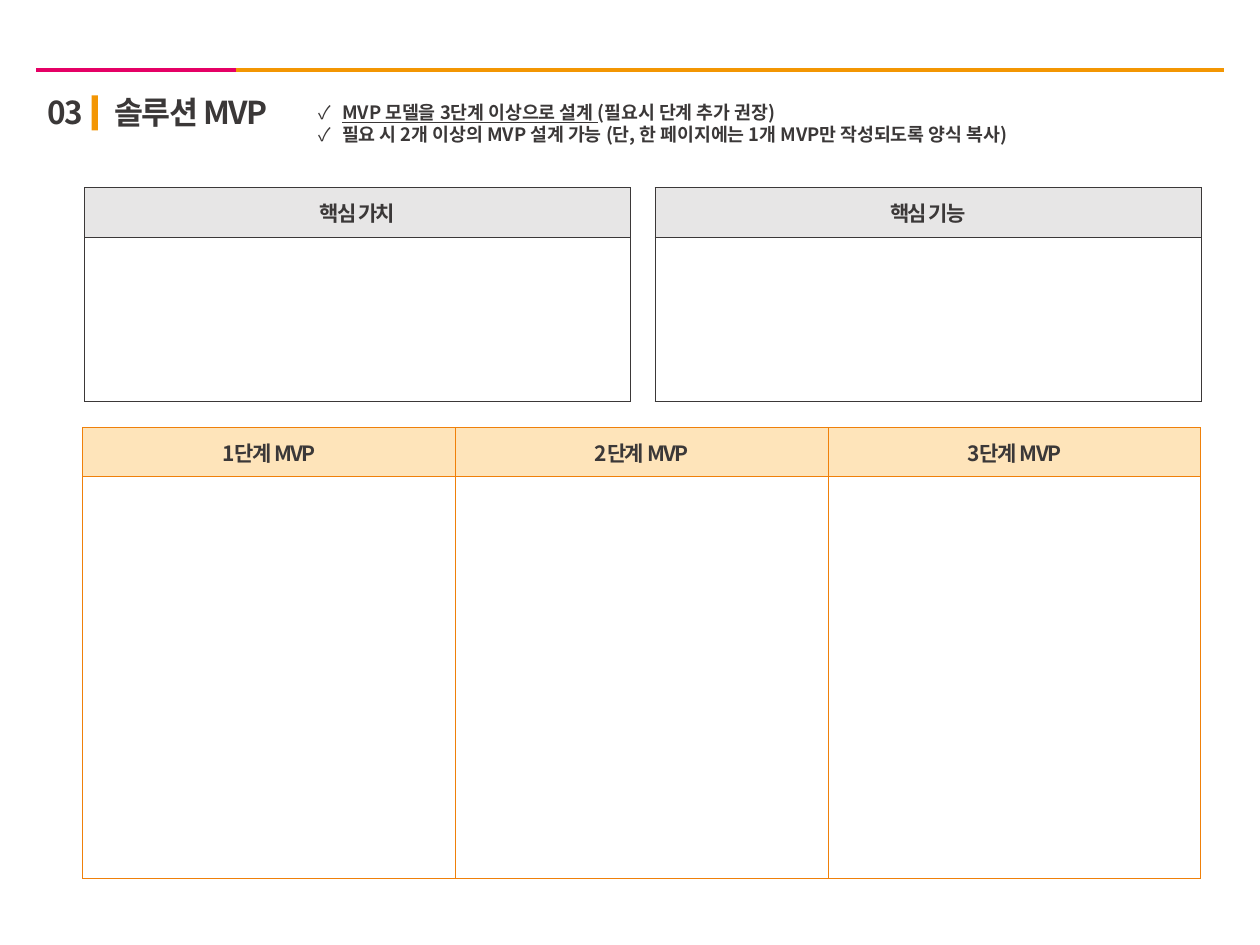
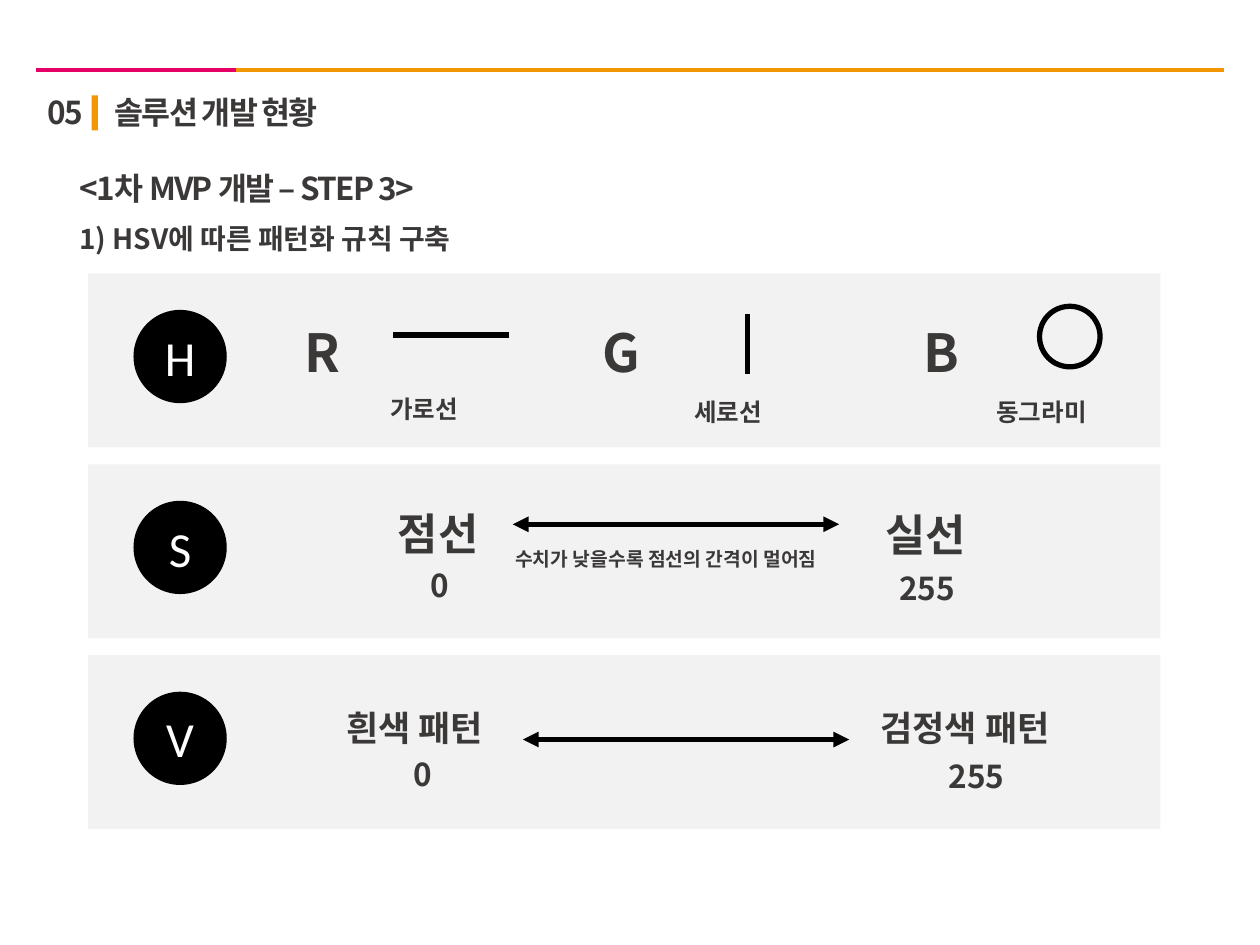
from lxml import etree
from pptx import Presentation
from pptx.dml.color import RGBColor
from pptx.enum import shapes, text
from pptx.oxml import ns
from pptx.util import Pt

# Shared style
FONT, BADGE_FONT = "Noto Sans CJK KR", "Calibri"
INK, BLACK, WHITE = "3B3838", "000000", "FFFFFF"
PINK, ORANGE, BAND = "E50065", "F39603", "F2F2F2"
SHAPE = shapes.MSO_SHAPE

# Slide 1 content
MVP_TITLE = ("03", "솔루션 MVP")
GUIDELINES = [
    [("MVP 모델을 3단계 이상으로 설계 ", True), ("(필요시 단계 추가 권장)", False)],
    [("필요 시 2개 이상의 MVP 설계 가능 (단, 한 페이지에는 1개 MVP만 작성되도록 양식 복사)", False)],
]
# headers, left, top, width, header height, body height, border, header fill
TABLES = [
    (["핵심 가치"], 48.25, 107.3, 312, 28.3, 93.7, INK, "E7E6E6"),
    (["핵심 기능"], 374.25, 107.3, 312, 28.3, 93.7, INK, "E7E6E6"),
    ([f"{step}단계 MVP" for step in (1, 2, 3)], 47.2, 244.3, 639, 28, 229.8,
     "EF800A", "FEE4BA"),
]

# Slide 2 content
STATUS_TITLE = ("05", "솔루션 개발 현황")
STEP_HEADING = "<1차 MVP 개발 – STEP 3>"
RULE_HEADING = "1) HSV에 따른 패턴화 규칙 구축"
# Labels: text, left, offset below the band top, width, size
# Lines: start x, start offset, end x, end offset, arrowheads
HSV_BANDS = [
    dict(letter="H",
         labels=[("R", 167, 16, 40, 30), ("G", 337, 16, 40, 30), ("B", 520.6, 16, 40, 30),
                 ("가로선", 216, 62, 74, 14), ("세로선", 389.5, 64, 74, 14),
                 ("동그라미", 562.3, 64, 74, 14)],
         lines=[(224.6, 35.3, 290.9, 35.3, False), (427, 23.1, 427, 57.6, False)],
         rings=[(594, 18.8, 34.6)]),
    dict(letter="S",
         labels=[("255", 506.9, 52.3, 80, 18), ("0", 239, 50.2, 80, 18),
                 ("점선", 220.3, 14.9, 80, 25), ("실선", 499, 15.6, 80, 25),
                 ("수치가 낮을수록 점선의 간격이 멀어짐", 287.3, 41.5, 340, 11)],
         lines=[(293, 34.3, 479.5, 34.3, True)], rings=[]),
    dict(letter="V",
         labels=[("255", 535, 50.4, 80, 18), ("0", 229, 49, 80, 18),
                 ("흰색 패턴", 190.8, 20.9, 103, 20), ("검정색 패턴", 496.1, 20.9, 119, 20)],
         lines=[(298.8, 48.2, 485.3, 48.2, True)], rings=[]),
]
BAND_LEFT, BAND_TOP, BAND_WIDTH, BAND_HEIGHT, BAND_PITCH = 50.4, 156.2, 612.7, 99.4, 109.1
BADGE_LEFT, BADGE_OFFSET, BADGE_SIZE = 76.3, 20.9, 53.3


def color(value):
    return RGBColor.from_string(value)


def sub(parent, tag, **attributes):
    return etree.SubElement(parent, ns.qn(tag), attributes)


def add_run(paragraph, words, size, fill=INK, font=FONT, bold=True, underline=False, spacing=0):
    run = paragraph.add_run()
    run.text = words
    run.font.size, run.font.name = Pt(size), font
    run.font.bold, run.font.underline = bold, underline
    run.font.color.rgb = color(fill)
    properties = run._r.get_or_add_rPr()
    sub(properties, "a:ea", typeface=font)
    if spacing:
        properties.set("spc", str(spacing * 100))


def set_frame(frame):
    frame.word_wrap = True
    frame.auto_size = text.MSO_AUTO_SIZE.SHAPE_TO_FIT_TEXT
    frame.vertical_anchor = text.MSO_ANCHOR.TOP
    return frame.paragraphs[0]


def add_text(slide, words, left, top, width, height, size, line_spacing=1.2, spacing=0):
    box = slide.shapes.add_textbox(Pt(left), Pt(top), Pt(width), Pt(height))
    paragraph = set_frame(box.text_frame)
    paragraph.line_spacing = line_spacing
    add_run(paragraph, words, size, spacing=spacing)


def add_shape(slide, kind, left, top, width, height, fill, line=None):
    shape = slide.shapes.add_shape(kind, Pt(left), Pt(top), Pt(width), Pt(height))
    shape.shadow.inherit = False
    shape.fill.solid()
    shape.fill.fore_color.rgb = color(fill)
    if line:
        shape.line.color.rgb, shape.line.width = color(line), Pt(3)
    else:
        shape.line.fill.background()
    return shape


def add_line(slide, x1, y1, x2, y2, fill=BLACK, width=3, arrows=False):
    line = slide.shapes.add_connector(shapes.MSO_CONNECTOR.STRAIGHT,
                                      Pt(x1), Pt(y1), Pt(x2), Pt(y2))
    line.line.color.rgb, line.line.width = color(fill), Pt(width)
    if arrows:
        for end in ("a:headEnd", "a:tailEnd"):
            sub(line.line._get_or_add_ln(), end, type="triangle")
    sub(line._element.spPr, "a:effectLst")


def add_page(presentation, number, title):
    slide = presentation.slides.add_slide(presentation.slide_layouts[5])
    # Top rule
    add_line(slide, 20.7, 40, 134.8, 40, PINK, 2.25)
    add_line(slide, 134.8, 40, 699.3, 40, ORANGE, 2.25)
    # Numbered title
    heading = slide.shapes.title
    heading.left, heading.top, heading.width, heading.height = Pt(58.3), Pt(49.7), Pt(325), Pt(29)
    paragraph = set_frame(heading.text_frame)
    paragraph.alignment = text.PP_ALIGN.LEFT
    add_run(paragraph, title, 18, spacing=-1)
    add_shape(slide, SHAPE.RECTANGLE, 52.4, 54.6, 3.6, 20, ORANGE)
    add_text(slide, number, 20, 49.7, 36, 29, 18, line_spacing=1, spacing=-1)
    return slide


def add_form_table(slide, headers, left, top, width, header_height, body_height, border, fill):
    table = slide.shapes.add_table(2, len(headers), Pt(left), Pt(top), Pt(width),
                                   Pt(header_height + body_height)).table
    table.first_row = table.horz_banding = False
    for row, height in zip(table.rows, (header_height, body_height)):
        row.height = Pt(height)
    for cell in table.iter_cells():
        properties = cell._tc.get_or_add_tcPr()
        for side in "LRTB":
            edge = sub(properties, f"a:ln{side}", w=str(Pt(0.5)))
            sub(sub(edge, "a:solidFill"), "a:srgbClr", val=border)
        cell.fill.solid()
        cell.fill.fore_color.rgb = color(WHITE)
    for column, header in enumerate(headers):
        cell = table.cell(0, column)
        cell.fill.fore_color.rgb = color(fill)
        cell.vertical_anchor = text.MSO_ANCHOR.MIDDLE
        paragraph = cell.text_frame.paragraphs[0]
        paragraph.alignment = text.PP_ALIGN.CENTER
        add_run(paragraph, header, 12, spacing=-1)


def build_mvp_slide(presentation):
    slide = add_page(presentation, *MVP_TITLE)
    for table in TABLES:
        add_form_table(slide, *table)
    # Checklist beside the title
    box = slide.shapes.add_textbox(Pt(175), Pt(54), Pt(532), Pt(32.4))
    paragraph = set_frame(box.text_frame)
    for index, runs in enumerate(GUIDELINES):
        if index:
            paragraph = box.text_frame.add_paragraph()
        properties = paragraph._p.get_or_add_pPr()
        properties.set("marL", str(Pt(13.5)))
        properties.set("indent", str(-Pt(13.5)))
        sub(properties, "a:buFont", typeface="Wingdings")
        properties[-1].set("typeface", FONT)
        sub(properties, "a:buChar", char="✓")
        for words, underline in runs:
            add_run(paragraph, words, 10.5, underline=underline)


def build_status_slide(presentation):
    slide = add_page(presentation, *STATUS_TITLE)
    add_text(slide, STEP_HEADING, 38.2, 92.9, 387, 29, 18, line_spacing=1, spacing=-1)
    add_text(slide, RULE_HEADING, 38.2, 119.5, 562, 30, 16)
    for index, band in enumerate(HSV_BANDS):
        top = BAND_TOP + index * BAND_PITCH
        add_shape(slide, SHAPE.RECTANGLE, BAND_LEFT, top, BAND_WIDTH, BAND_HEIGHT, BAND)
        # Letter badge
        badge = add_shape(slide, SHAPE.OVAL, BADGE_LEFT, top + BADGE_OFFSET,
                          BADGE_SIZE, BADGE_SIZE, BLACK)
        paragraph = badge.text_frame.paragraphs[0]
        paragraph.alignment = text.PP_ALIGN.CENTER
        add_run(paragraph, band["letter"], 28, WHITE, BADGE_FONT, bold=False)
        # Labels and pattern samples
        for words, left, offset, width, size in band["labels"]:
            add_text(slide, words, left, top + offset, width, size * 1.4 + 7, size)
        for x1, y1, x2, y2, arrows in band["lines"]:
            add_line(slide, x1, top + y1, x2, top + y2, arrows=arrows)
        for left, offset, size in band["rings"]:
            add_shape(slide, SHAPE.OVAL, left, top + offset, size, size, BAND, BLACK)


def main():
    presentation = Presentation()
    presentation.slide_width, presentation.slide_height = Pt(720), Pt(540)
    build_mvp_slide(presentation)
    build_status_slide(presentation)
    presentation.save("out.pptx")


if __name__ == "__main__":
    main()
